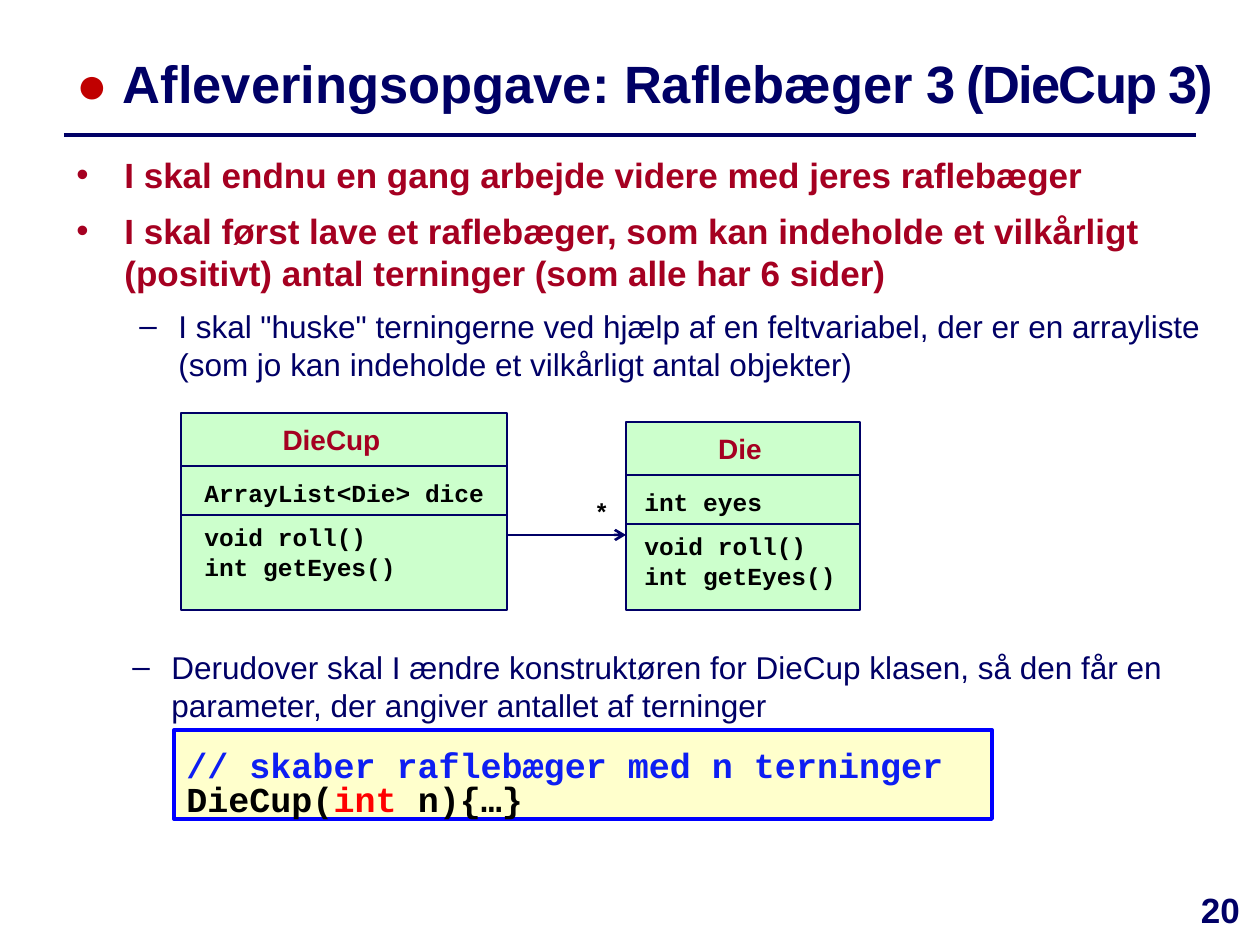
"""Build the DieCup 3 assignment slide with its class diagram."""
from dataclasses import dataclass

from lxml.etree import SubElement
from pptx import Presentation
from pptx.dml.color import RGBColor
from pptx.enum.shapes import MSO_CONNECTOR as Line, MSO_SHAPE as Shape
from pptx.enum.text import MSO_ANCHOR as Anchor, PP_ALIGN as Align
from pptx.oxml.ns import qn
from pptx.util import Pt


@dataclass(frozen=True)
class Theme:
    sans: str = "Arial"
    mono: str = "Courier New"
    navy: str = "000066"
    crimson: str = "A50021"
    title_dot: str = "C00000"
    class_fill: str = "CCFFCC"
    code_fill: str = "FFFFCC"
    code_line: str = "0000FF"
    comment: str = "0D1EF2"
    keyword: str = "FF0000"
    black: str = "000000"
    title_size: int = 30
    point_size: int = 20
    detail_size: int = 18
    class_size: int = 16
    member_size: int = 14


THEME = Theme()
PX = 914400 / 126

TITLE = [[("● ", THEME.title_dot), "Afleveringsopgave: Raflebæger", (" 3 (DieCup 3)", THEME.navy, -100)]]
POINTS = [
    "I skal endnu en gang arbejde videre med jeres raflebæger",
    "I skal først lave et raflebæger, som kan indeholde et vilkårligt (positivt) antal terninger "
    "(som alle har 6 sider)",
]
DETAIL = ("I skal \"huske\" terningerne ved hjælp af en feltvariabel, der er en arrayliste "
          "(som jo kan indeholde et vilkårligt antal objekter)")
CONSTRUCTOR_DETAIL = ("Derudover skal I ændre konstruktøren for DieCup klasen, så den får en "
                      "parameter, der angiver antallet af terninger")
CONSTRUCTOR = [
    [("// skaber raflebæger med n terninger", THEME.comment)],
    ["DieCup(", ("int ", THEME.keyword), "n){…}"],
]
CLASSES = [
    {"name": "DieCup", "box": (181, 413, 326, 197), "name_width": 301, "indent": 11,
     "members": ["ArrayList<Die> dice", "void roll()", "int getEyes()"]},
    {"name": "Die", "box": (626, 422, 234, 188), "name_width": 228, "indent": 6,
     "members": ["int eyes", "void roll()", "int getEyes()"]},
]
NAME_DROP, MEMBERS_DROP, RULE_DROPS = 3, 59, (53, 102)
BULLET = {"char": "•", "left": 48, "hang": 48}
DASH = {"char": "–", "left": 102, "hang": 39}


def px(length):
    return round(length * PX)


def rgb(color):
    return RGBColor.from_string(color)


def bulleted(paragraph, char, left, hang):
    properties = paragraph._p.get_or_add_pPr()
    properties.set("marL", str(px(left)))
    properties.set("indent", str(-px(hang)))
    SubElement(properties, qn("a:buFont"), typeface=THEME.sans)
    SubElement(properties, qn("a:buChar"), char=char)


def write(frame, paragraphs, size, color=THEME.navy, font=THEME.sans, bold=False, align=Align.LEFT,
          bullet=None, before=0, spacings=(), wrap=True, more=False):
    frame.word_wrap = wrap
    for index, runs in enumerate(paragraphs):
        first = index == 0 and not more
        paragraph = frame.paragraphs[0] if first else frame.add_paragraph()
        paragraph.alignment = align
        paragraph.space_before = Pt(0 if first else before)
        if index < len(spacings):
            paragraph.line_spacing = spacings[index]
        if bullet:
            bulleted(paragraph, **bullet)
        for part in [runs] if isinstance(runs, str) else runs:
            words, tint, tracking = ((part,) if isinstance(part, str) else part) + (None,) * (
                2 if isinstance(part, str) else 3 - len(part))
            run = paragraph.add_run()
            run.text = words
            run.font.name, run.font.size, run.font.bold = font, Pt(size), bold
            run.font.color.rgb = rgb(tint or color)
            if tracking:
                run._r.get_or_add_rPr().set("spc", str(tracking))


def text_frame(slide, box):
    return slide.shapes.add_textbox(*map(px, box)).text_frame


def add_line(slide, start, end, width, arrow=False):
    line = slide.shapes.add_connector(Line.STRAIGHT, *map(px, start + end))
    line.line.color.rgb, line.line.width = rgb(THEME.navy), Pt(width)
    if arrow:
        SubElement(line.line._get_or_add_ln(), qn("a:tailEnd"), type="arrow")
    SubElement(line._element.spPr, qn("a:effectLst"))


def add_panel(slide, box, fill, edge, width):
    panel = slide.shapes.add_shape(Shape.RECTANGLE, *map(px, box))
    panel.shadow.inherit = False
    panel.fill.solid()
    panel.fill.fore_color.rgb = rgb(fill)
    panel.line.color.rgb, panel.line.width = rgb(edge), Pt(width)
    return panel


def add_class(slide, name, box, name_width, indent, members):
    left, top, width, height = box
    add_panel(slide, box, THEME.class_fill, THEME.navy, 1.5)
    write(text_frame(slide, (left, top + NAME_DROP, name_width, 47)), [name], THEME.class_size,
          color=THEME.crimson, bold=True, align=Align.CENTER)
    for drop in RULE_DROPS:
        add_line(slide, (left, top + drop), (left + width, top + drop), 1.5)
    write(text_frame(slide, (left + indent, top + MEMBERS_DROP, width - indent, 117)), members,
          THEME.member_size, color=THEME.black, font=THEME.mono, bold=True,
          spacings=(1.0, 1.5, 1.0), wrap=False)


def main():
    deck = Presentation()
    deck.slide_width, deck.slide_height = px(1260), px(945)
    slide = deck.slides.add_slide(deck.slide_layouts[5])

    title = slide.shapes.title
    title.left, title.top, title.width, title.height = map(px, (64, 35, 1196, 95))
    title.text_frame.vertical_anchor = Anchor.MIDDLE
    write(title.text_frame, TITLE, THEME.title_size, bold=True)
    add_line(slide, (64, 135), (1196, 135), 2)

    body = text_frame(slide, (64, 147, 1160, 249))
    write(body, POINTS, THEME.point_size, color=THEME.crimson, bold=True, bullet=BULLET, before=8)
    write(body, [DETAIL], THEME.detail_size, bullet=DASH, before=8, more=True)

    for drawn_class in CLASSES:
        add_class(slide, **drawn_class)
    add_line(slide, (507, 535), (626, 535), 1.5, arrow=True)
    write(text_frame(slide, (582, 491, 43, 43)), ["*"], THEME.member_size, color=THEME.black,
          font=THEME.mono, bold=True, wrap=False)

    write(text_frame(slide, (57, 642, 1149, 73)), [CONSTRUCTOR_DETAIL], THEME.detail_size, bullet=DASH)
    code = add_panel(slide, (174, 730, 818, 89), THEME.code_fill, THEME.code_line, 2.25).text_frame
    code.vertical_anchor, code.margin_top = Anchor.TOP, px(14)
    write(code, CONSTRUCTOR, THEME.point_size, color=THEME.black, font=THEME.mono, bold=True,
          spacings=(1.0, 0.8))

    write(text_frame(slide, (1176, 882, 89, 63)), ["20"], THEME.point_size, bold=True, align=Align.CENTER)
    deck.save("out.pptx")


if __name__ == "__main__":
    main()
